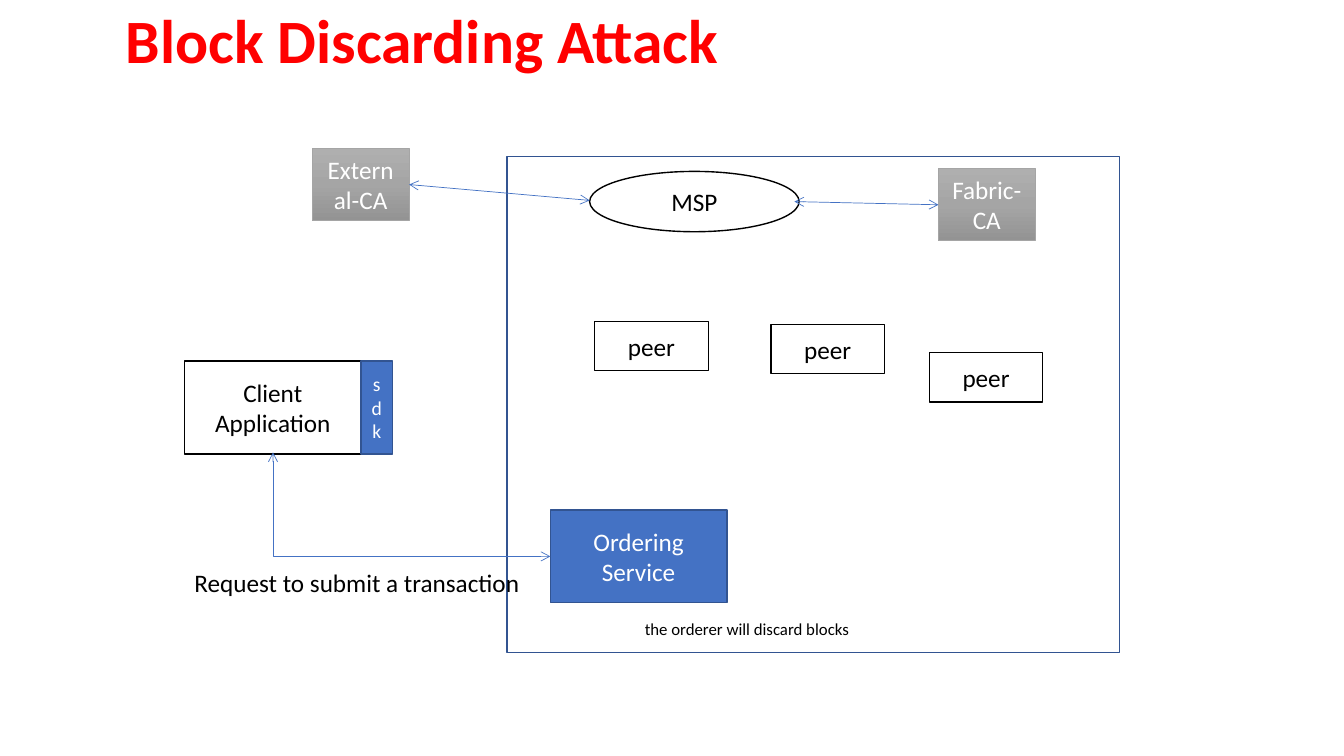
"""Build the block discarding attack slide."""
from copy import deepcopy

from lxml.etree import SubElement
from pptx import Presentation
from pptx.dml.color import RGBColor
from pptx.enum.shapes import MSO_CONNECTOR, MSO_SHAPE
from pptx.enum.text import MSO_ANCHOR, PP_ALIGN
from pptx.oxml.ns import qn
from pptx.util import Cm, Pt

FONT = "Calibri"
RED = RGBColor(0xFF, 0x00, 0x00)
BLACK = RGBColor(0x00, 0x00, 0x00)
WHITE = RGBColor(0xFF, 0xFF, 0xFF)
BLUE = RGBColor(0x44, 0x72, 0xC4)
NAVY = RGBColor(0x32, 0x54, 0x91)
LIGHT = RGBColor(0xAF, 0xAF, 0xAF)
GRAY = RGBColor(0xA5, 0xA5, 0xA5)
DARK = RGBColor(0x93, 0x93, 0x93)
NODE = (4.45, 2.34)
PEER = (2.86, 1.24)
CERT = (2.44, 1.83)


def write(frame, text, size, color, bold=False):
    """Put one styled paragraph in a text frame and return it."""
    para = frame.paragraphs[0]
    para.text = text
    for run in para.runs:
        run.font.name = FONT
        run.font.size = Pt(size)
        run.font.bold = bold
        run.font.color.rgb = color
    return para


def add_box(slide, spot, size, text="", fill=None, line=BLACK, ink=BLACK,
            points=18, width=1, kind=MSO_SHAPE.RECTANGLE):
    """Add a preset shape with centred text."""
    box = slide.shapes.add_shape(kind, *map(Cm, spot + size))
    box.shadow.inherit = False
    if fill is None:
        box.fill.background()
    else:
        box.fill.solid()
        box.fill.fore_color.rgb = fill
    box.line.color.rgb = line
    box.line.width = Pt(width)
    if text:
        box.text_frame.vertical_anchor = MSO_ANCHOR.MIDDLE
        write(box.text_frame, text, points, ink).alignment = PP_ALIGN.CENTER
    return box


def add_cert(slide, spot, text):
    """Add a certificate authority with a grey gradient."""
    box = add_box(slide, spot, CERT, text, line=GRAY, ink=WHITE, width=0.5)
    box.fill.gradient()
    box.fill.gradient_angle = 270
    first = box.element.spPr.find(".//" + qn("a:gs"))
    first.addnext(deepcopy(first))
    stops = zip(box.fill.gradient_stops, (0, 0.5, 1), (LIGHT, GRAY, DARK))
    for stop, place, color in stops:
        stop.position = place
        stop.color.rgb = color


def add_link(slide, start, end, bent=False):
    """Add a thin connector with an open arrow at both ends."""
    kind = MSO_CONNECTOR.ELBOW if bent else MSO_CONNECTOR.STRAIGHT
    link = slide.shapes.add_connector(kind, *map(Cm, start + end))
    link.line.color.rgb = BLUE
    link.line.width = Pt(0.5)
    for tag in ("a:headEnd", "a:tailEnd"):
        SubElement(link.line._get_or_add_ln(), qn(tag), type="arrow")
    props = link.element.spPr
    SubElement(props, qn("a:effectLst"))
    if bent:
        props.find(qn("a:prstGeom")).set("prst", "bentConnector2")
        props.find(qn("a:xfrm")).set("rot", "10800000")


def add_note(slide, spot, size, text, points):
    """Add a plain label on one line."""
    note = slide.shapes.add_textbox(*map(Cm, spot + size))
    note.text_frame.word_wrap = False
    write(note.text_frame, text, points, BLACK)


def add_title(slide, text):
    """Add the slide heading."""
    box = slide.shapes.add_textbox(Cm(2.92), Cm(-0.74), Cm(29.21), Cm(3.68))
    box.text_frame.word_wrap = True
    box.text_frame.vertical_anchor = MSO_ANCHOR.MIDDLE
    write(box.text_frame, text, 44, RED, True).line_spacing = 0.9


def main():
    """Draw the slide and save it."""
    deck = Presentation()
    deck.slide_width, deck.slide_height = Cm(33.87), Cm(19.05)
    slide = deck.slides.add_slide(deck.slide_layouts[6])
    add_title(slide, "Block Discarding Attack")
    add_box(slide, (4.65, 9.1), NODE, "Client Application", WHITE)
    add_box(slide, (13.87, 12.85), NODE, "Ordering Service", BLUE, NAVY, WHITE)
    add_box(slide, (14.86, 4.32), (5.28, 1.52), "MSP", WHITE,
            kind=MSO_SHAPE.OVAL)
    add_cert(slide, (23.65, 4.24), "Fabric-CA")
    add_cert(slide, (7.87, 3.73), "External-CA")
    add_box(slide, (12.78, 3.94), (15.44, 12.5), line=NAVY)
    add_box(slide, (9.1, 9.1), (0.79, 2.34), "sdk", BLUE, NAVY, WHITE, 14)
    add_link(slide, (6.88, 11.4), (13.87, 14.02), bent=True)
    add_link(slide, (14.86, 5.05), (10.31, 4.65))
    add_link(slide, (20.02, 5.08), (23.65, 5.16))
    for spot in ((23.42, 8.89), (19.43, 8.18), (14.99, 8.1)):
        add_box(slide, spot, PEER, "peer", WHITE)
    add_note(slide, (4.65, 14.17), (8.79, 1.02),
             "Request to submit a transaction", 18)
    add_note(slide, (16, 15.47), (5.82, 0.76),
             "the orderer will discard blocks", 12)
    deck.save("out.pptx")


if __name__ == "__main__":
    main()
